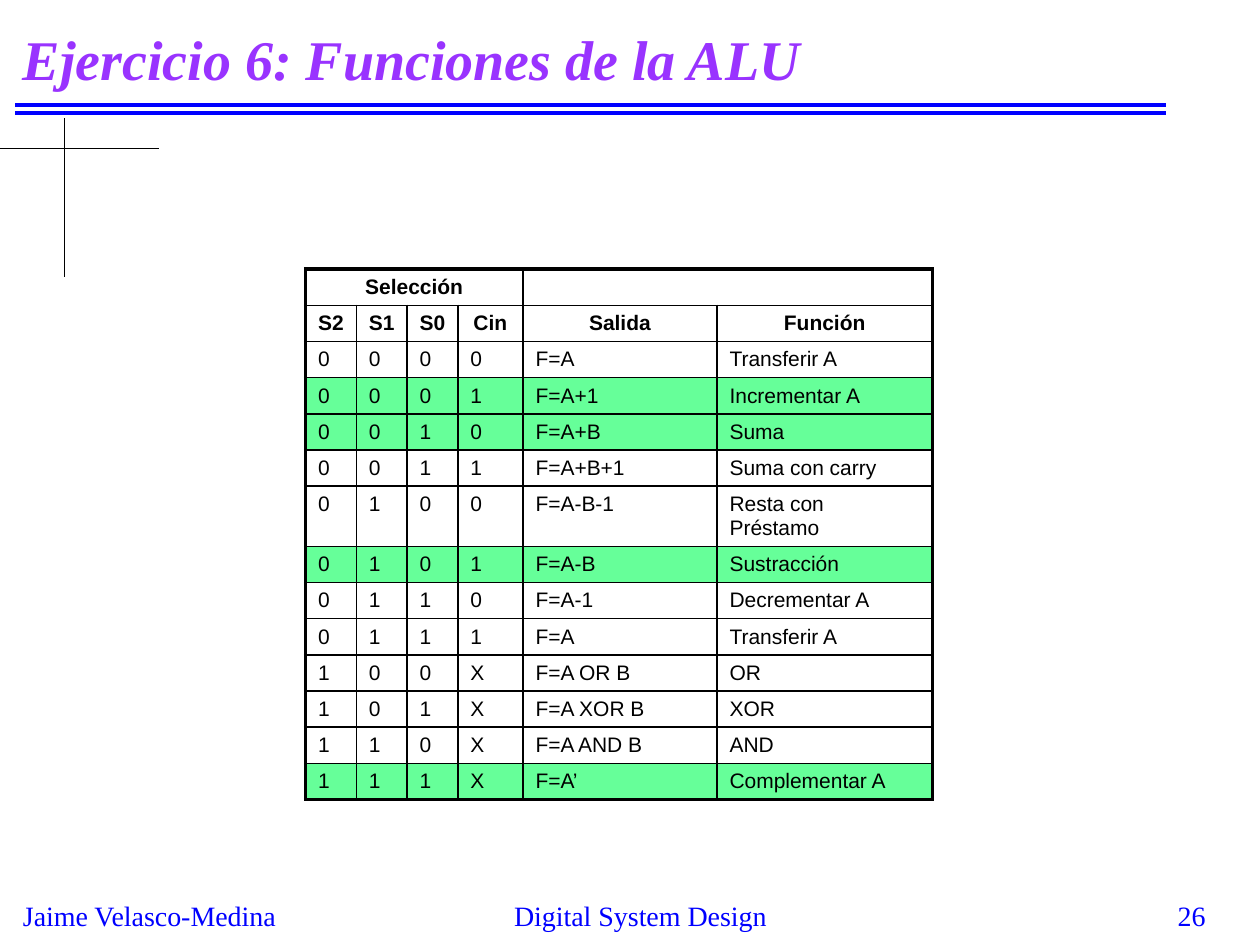
"""Build the slide with the function table of the ALU."""
from lxml.etree import SubElement
from pptx import Presentation
from pptx.dml.color import RGBColor
from pptx.enum.shapes import MSO_CONNECTOR
from pptx.enum.text import MSO_ANCHOR, PP_ALIGN
from pptx.oxml.ns import qn
from pptx.util import Pt

BLACK, BLUE, PURPLE, GREEN = "000000", "0000FF", "9933FF", "66FF99"
SERIF, SANS = "Times New Roman", "Arial"
THIN, THICK = 1, 2.25
COLUMN_WIDTHS = (29, 29, 29, 37.2, 110.9, 123.2)
ROW_HEIGHT, TALL_ROW_HEIGHT = 20.68, 33.9
HEADINGS = ("S2", "S1", "S0", "Cin", "Salida", "Función")
FUNCTIONS = (
    ("0000", "F=A", "Transferir A"),
    ("0001", "F=A+1", "Incrementar A"),
    ("0010", "F=A+B", "Suma"),
    ("0011", "F=A+B+1", "Suma con carry"),
    ("0100", "F=A-B-1", "Resta con Préstamo"),
    ("0101", "F=A-B", "Sustracción"),
    ("0110", "F=A-1", "Decrementar A"),
    ("0111", "F=A", "Transferir A"),
    ("100X", "F=A OR B", "OR"),
    ("101X", "F=A XOR B", "XOR"),
    ("110X", "F=A AND B", "AND"),
    ("111X", "F=A’", "Complementar A"),
)
HIGHLIGHTED = {"Incrementar A", "Suma", "Sustracción", "Complementar A"}


def color(value):
    """Return the colour for a hex string."""
    return RGBColor.from_string(value)


def write(text_frame, text, size, font_name, font_color, align, bold=False, italic=False):
    """Set one formatted paragraph in a text frame."""
    text_frame.text = text
    paragraph = text_frame.paragraphs[0]
    paragraph.alignment = align
    for run in paragraph.runs:
        font = run.font
        font.size, font.name = Pt(size), font_name
        font.bold, font.italic = bold, italic
        font.color.rgb = color(font_color)


def add_text(slide, box, text, size, font_color, align=PP_ALIGN.LEFT,
             anchor=MSO_ANCHOR.TOP, emphasis=False):
    """Add a wrapped text box in the serif font."""
    text_frame = slide.shapes.add_textbox(*map(Pt, box)).text_frame
    text_frame.word_wrap = True
    text_frame.vertical_anchor = anchor
    write(text_frame, text, size, SERIF, font_color, align, emphasis, emphasis)


def add_line(slide, start, end, line_color, width):
    """Add a straight line without a shadow."""
    line = slide.shapes.add_connector(MSO_CONNECTOR.STRAIGHT, *map(Pt, start + end))
    line.line.color.rgb = color(line_color)
    line.line.width = Pt(width)
    SubElement(line._element.spPr, qn("a:effectLst"))


def set_borders(cell, widths):
    """Draw black borders of the given widths on each side of a cell."""
    properties = cell._tc.get_or_add_tcPr()
    for side, width in widths.items():
        border = SubElement(properties, qn(f"a:ln{side}"), w=str(Pt(width)))
        fill = SubElement(border, qn("a:solidFill"))
        SubElement(fill, qn("a:srgbClr"), val=BLACK)


def style_cell(cell, row, column, row_count):
    """Give a cell its borders and its fill."""
    last_column = column + cell.span_width - 1
    set_borders(cell, {
        "L": THICK if column == 0 else THIN,
        "R": THICK if last_column == len(COLUMN_WIDTHS) - 1 else THIN,
        "T": THICK if row == 0 else THIN,
        "B": THICK if row == row_count - 1 else THIN,
    })
    if row > 1 and FUNCTIONS[row - 2][2] in HIGHLIGHTED:
        cell.fill.solid()
        cell.fill.fore_color.rgb = color(GREEN)
    else:
        cell.fill.background()


def set_margins(cell, heading):
    """Set the cell margins, tighter at the sides of a heading."""
    cell.margin_left = Pt(6.8 if heading else 7.2)
    cell.margin_right = Pt(6.8 if heading else 9)
    cell.margin_top, cell.margin_bottom = Pt(3.6), Pt(2)


def add_function_table(slide):
    """Add the table of selection codes, outputs and functions."""
    rows = [("Selección", "", "", "", "", ""), HEADINGS]
    rows += [(*code, output, name) for code, output, name in FUNCTIONS]
    heights = [ROW_HEIGHT] * len(rows)
    heights[6] = TALL_ROW_HEIGHT
    frame = slide.shapes.add_table(len(rows), len(COLUMN_WIDTHS), Pt(174.6), Pt(153.8),
                                   Pt(sum(COLUMN_WIDTHS)), Pt(sum(heights)))
    table = frame.table
    table.first_row = table.horz_banding = False
    for column, width in zip(table.columns, COLUMN_WIDTHS):
        column.width = Pt(width)
    for row, height in zip(table.rows, heights):
        row.height = Pt(height)
    table.cell(0, 0).merge(table.cell(0, 3))
    table.cell(0, 4).merge(table.cell(0, 5))
    for row, texts in enumerate(rows):
        heading = row < 2
        align = PP_ALIGN.CENTER if heading else PP_ALIGN.LEFT
        for column, text in enumerate(texts):
            cell = table.cell(row, column)
            write(cell.text_frame, text, 12, SANS, BLACK, align, heading)
            set_margins(cell, heading)
            if not text:
                end = cell.text_frame.paragraphs[0]._p.get_or_add_endParaRPr()
                end.set("sz", "1200")
            if not cell.is_spanned:
                style_cell(cell, row, column, len(rows))


def main():
    """Build and save the presentation."""
    presentation = Presentation()
    presentation.slide_width, presentation.slide_height = Pt(720), Pt(540)
    slide = presentation.slides.add_slide(presentation.slide_layouts[6])
    for top in (60.2, 64.7):
        add_line(slide, (8.6, top), (666, top), BLUE, 2.25)
    add_text(slide, (6, 510, 162, 26), "Jaime Velasco-Medina", 16, BLUE)
    add_text(slide, (240, 510, 252, 24), "Digital System Design", 16, BLUE, PP_ALIGN.CENTER)
    add_text(slide, (546, 510, 150, 18), "26", 16, BLUE, PP_ALIGN.RIGHT)
    add_line(slide, (0, 84.8), (90.8, 84.8), BLACK, 0.75)
    add_line(slide, (36.8, 67.6), (36.8, 158.4), BLACK, 0.75)
    add_text(slide, (6, 6, 660, 54), "Ejercicio 6: Funciones de la ALU", 32, PURPLE,
             anchor=MSO_ANCHOR.MIDDLE, emphasis=True)
    add_function_table(slide)
    presentation.save("out.pptx")


if __name__ == "__main__":
    main()
